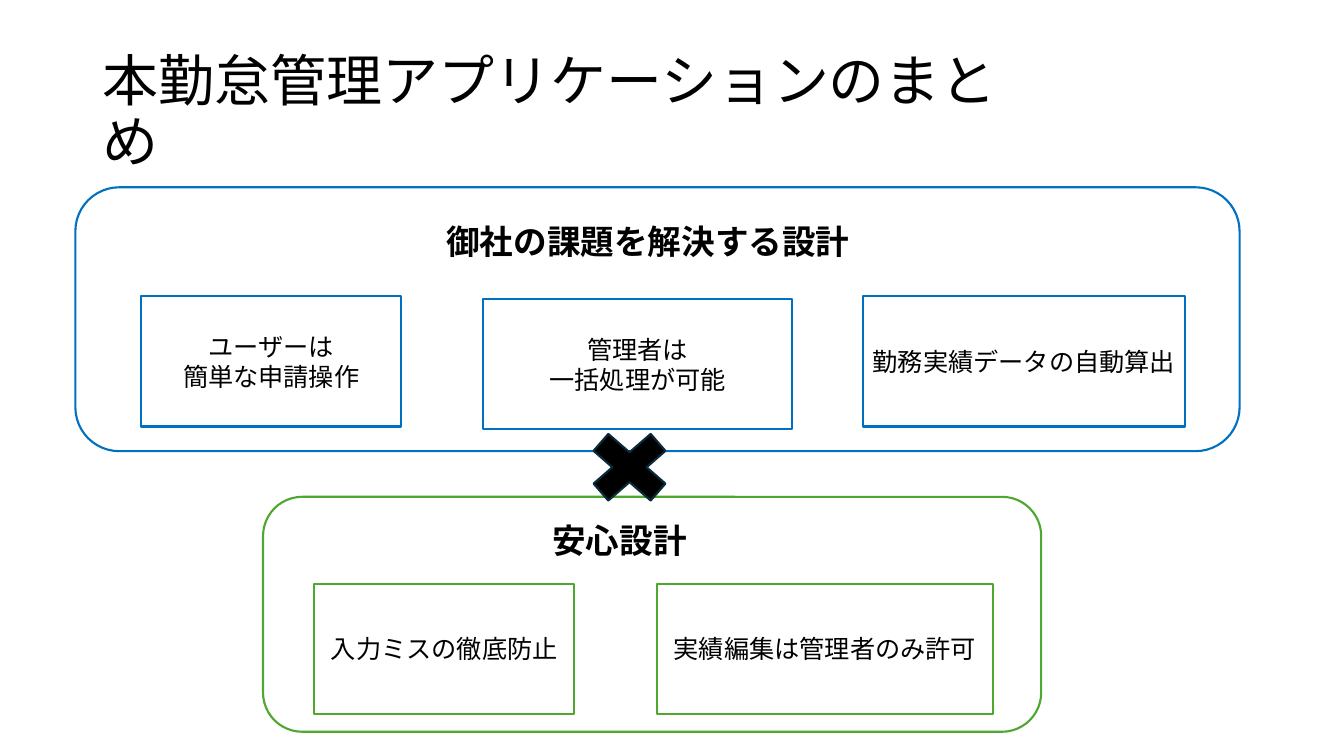
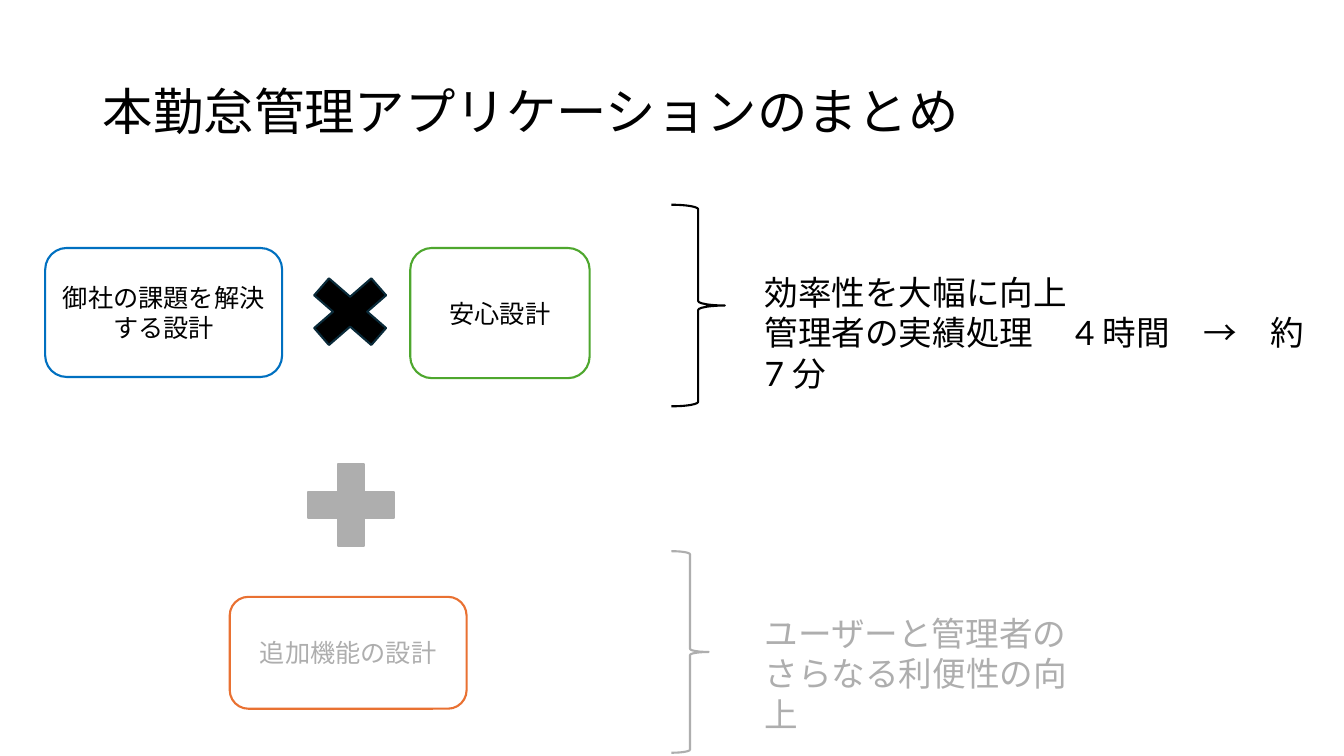
from pptx import Presentation
from pptx.dml.color import RGBColor
from pptx.enum.lang import MSO_LANGUAGE_ID
from pptx.enum.shapes import MSO_SHAPE
from pptx.enum.text import MSO_ANCHOR, MSO_AUTO_SIZE, PP_ALIGN
from pptx.util import Cm, Pt

COLORS = {
    "white": "FFFFFF",
    "black": "000000",
    "blue": "0070C0",
    "green": "4EA72E",
    "orange": "E97132",
    "gray": "AEAEAE",
    "navy": "092A39",
}
FONT = "Lato"
TITLE = "本勤怠管理アプリケーションのまとめ"
TITLE_ONLY = 5


def color(name):
    return RGBColor.from_string(COLORS[name])


def write(frame, text, size, ink="black", align=PP_ALIGN.LEFT, bold=False):
    frame.word_wrap = True
    frame.text = text
    for paragraph in frame.paragraphs:
        paragraph.alignment = align
        font = paragraph.font
        font.name = FONT
        font.size = Pt(size)
        font.bold = bold
        font.color.rgb = color(ink)
        font.language_id = MSO_LANGUAGE_ID.JAPANESE


def add_page(deck, title_width, title_size):
    page = deck.slides.add_slide(deck.slide_layouts[TITLE_ONLY])
    title = page.shapes.title
    title.left, title.top = Cm(2.34), Cm(1.02)
    title.width, title.height = Cm(title_width), Cm(3.7)
    frame = title.text_frame
    write(frame, TITLE, title_size)
    frame.auto_size = MSO_AUTO_SIZE.NONE
    frame.vertical_anchor = MSO_ANCHOR.MIDDLE
    frame.paragraphs[0].line_spacing = 0.9
    return page


def add_figure(page, kind, box, line, fill="white"):
    shape = page.shapes.add_shape(kind, *map(Cm, box))
    shape.shadow.inherit = False
    shape.fill.solid()
    shape.fill.fore_color.rgb = color(fill)
    shape.line.color.rgb = color(line)
    shape.line.width = Pt(1.5)
    return shape


def add_card(page, kind, box, line, text, ink="black"):
    frame = add_figure(page, kind, box, line).text_frame
    write(frame, text, 18, ink, PP_ALIGN.CENTER)
    frame.vertical_anchor = MSO_ANCHOR.MIDDLE


def add_text(page, box, text, ink="black", bold=False):
    frame = page.shapes.add_textbox(*map(Cm, box)).text_frame
    write(frame, text, 24, ink, bold=bold)
    frame.auto_size = MSO_AUTO_SIZE.SHAPE_TO_FIT_TEXT


def add_times_sign(page, left, top):
    add_figure(page, MSO_SHAPE.MATH_MULTIPLY, (left, top, 2.77, 2.41), "navy", "black")


def add_panel(page, box, line, heading, heading_box, cards):
    left, top = box[:2]
    add_figure(page, MSO_SHAPE.ROUNDED_RECTANGLE, box, line)
    for text, across, down, width in cards:
        add_card(page, MSO_SHAPE.RECTANGLE, (left + across, top + down, width, 3.28), line, text)
    across, down, width = heading_box
    add_text(page, (left + across, top + down, width, 1.27), heading, bold=True)


def add_outcome(page, top, brace_width, text_drop, text_width, text, ink):
    add_figure(page, MSO_SHAPE.RIGHT_BRACE, (16.92, top, brace_width, 5.08), ink)
    add_text(page, (19.02, top + text_drop, text_width, 2.31), text, ink)


def build_design_page(deck):
    page = add_page(deck, 23.04, 40)
    add_panel(page, (6.63, 12.52, 19.61, 5.92), "green", "安心設計", (7.04, 0.46, 8.05), [
        ("入力ミスの徹底防止", 1.29, 2.19, 6.55),
        ("実績編集は管理者のみ許可", 9.93, 2.19, 8.46),
    ])
    add_panel(page, (1.9, 4.72, 29.34, 6.65), "blue", "御社の課題を解決する設計", (9.1, 0.72, 11.13), [
        ("ユーザーは\v簡単な申請操作", 1.66, 2.75, 6.55),
        ("管理者は\v一括処理が可能", 10.27, 2.82, 7.8),
        ("勤務実績データの自動算出", 19.84, 2.75, 8.13),
    ])
    add_times_sign(page, 14.48, 10.57)


def build_effect_page(deck):
    page = add_page(deck, 29.21, 36)
    rounded = MSO_SHAPE.ROUNDED_RECTANGLE
    add_card(page, rounded, (1.14, 6.25, 5.97, 3.25), "blue", "御社の課題を解決する設計")
    add_times_sign(page, 7.44, 6.65)
    add_card(page, rounded, (10.34, 6.25, 4.52, 3.28), "green", "安心設計")
    add_figure(page, MSO_SHAPE.MATH_PLUS, (7.37, 11.33, 2.95, 2.79), "gray", "gray")
    add_card(page, rounded, (5.79, 15.04, 5.97, 2.82), "orange", "追加機能の設計", "gray")
    add_outcome(page, 5.16, 1.35, 1.57, 14.48,
                "効率性を大幅に向上\n管理者の実績処理　4時間　→　約7分", "black")
    add_outcome(page, 13.89, 0.94, 1.43, 8.61,
                "ユーザーと管理者の\nさらなる利便性の向上", "gray")


def main():
    deck = Presentation()
    deck.slide_width, deck.slide_height = Cm(33.87), Cm(19.05)
    build_design_page(deck)
    build_effect_page(deck)
    deck.save("out.pptx")


if __name__ == "__main__":
    main()
